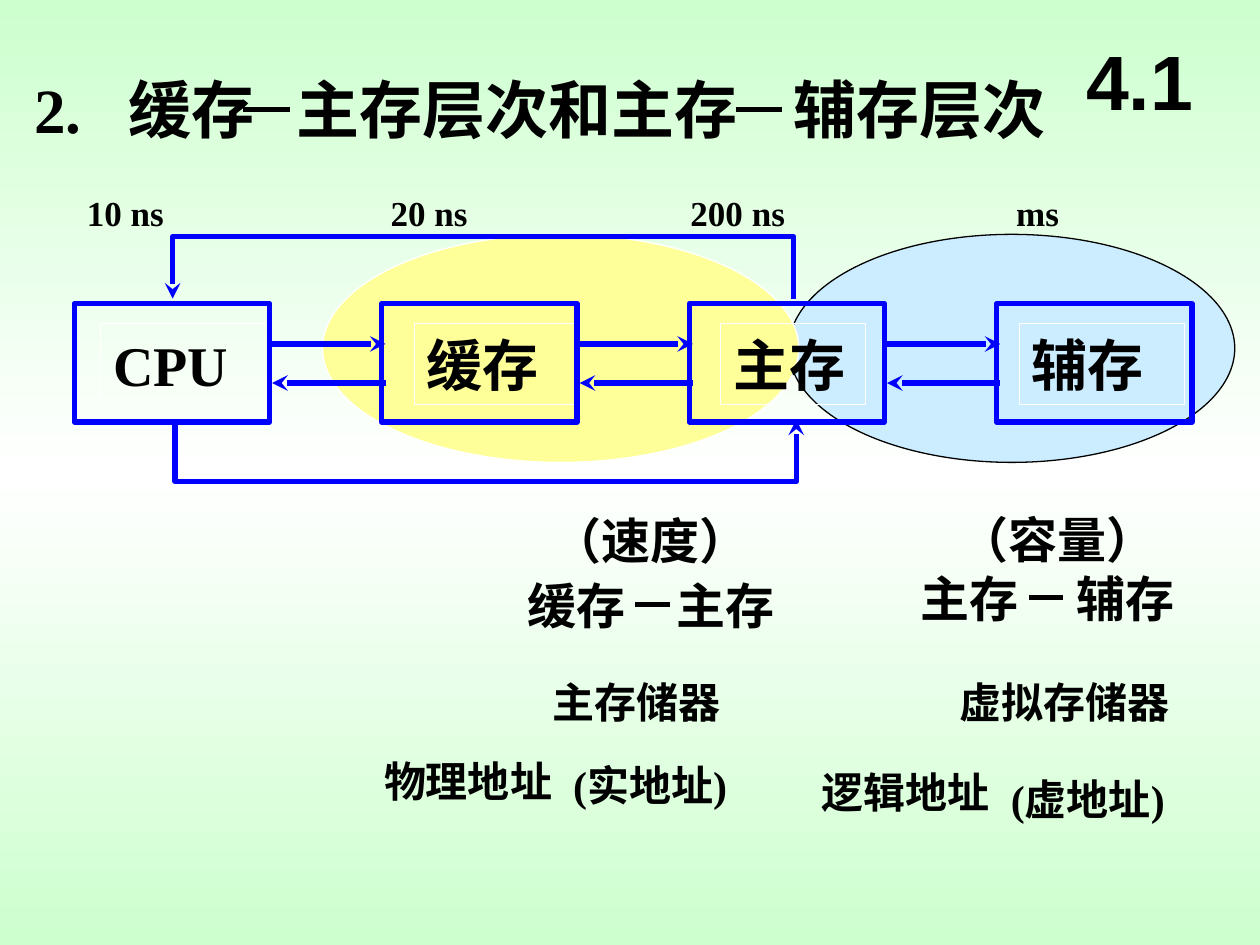
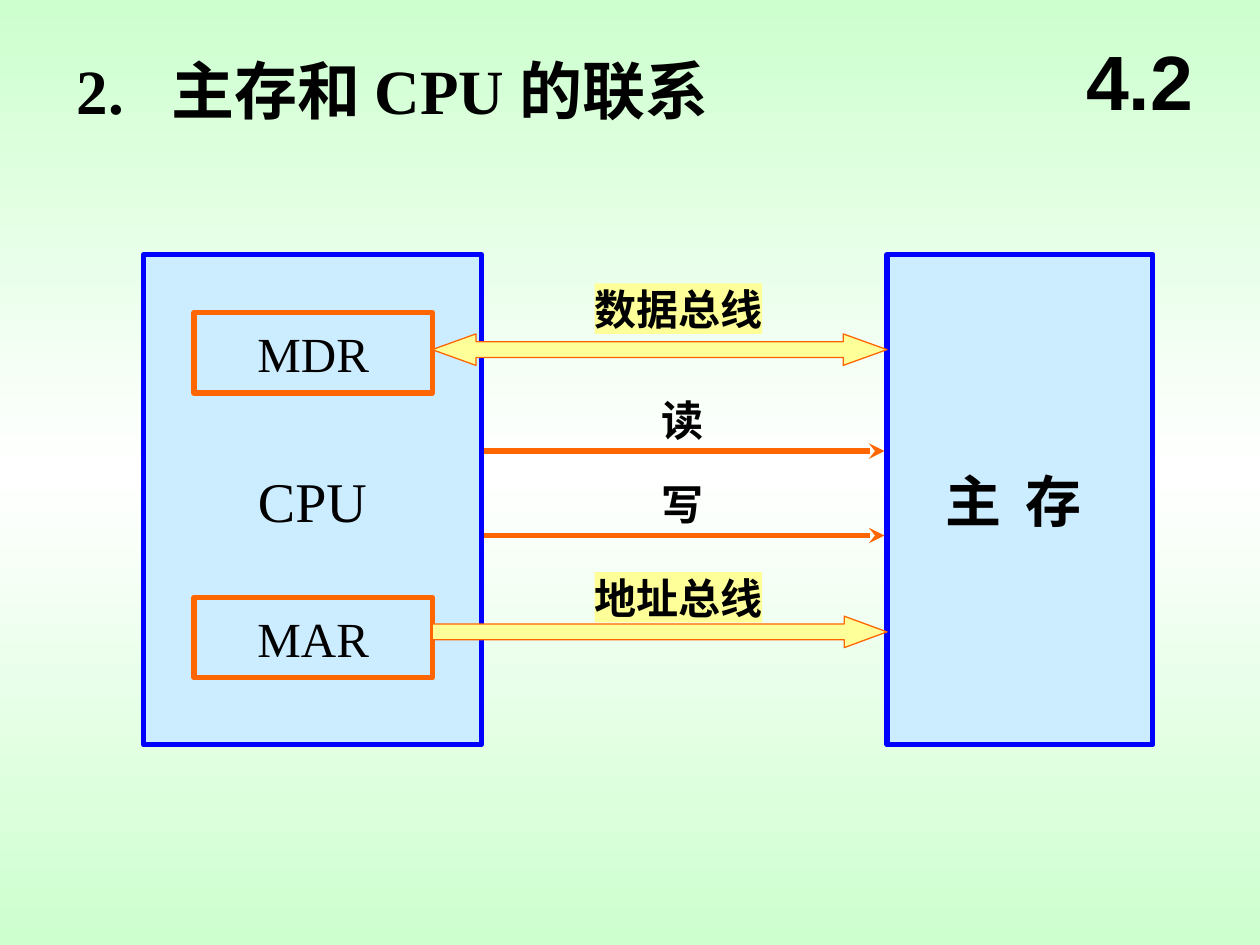
from copy import deepcopy
from dataclasses import dataclass

from lxml import etree
from pptx import Presentation
from pptx.dml.color import RGBColor
from pptx.enum.shapes import MSO_CONNECTOR, MSO_SHAPE
from pptx.enum.text import MSO_ANCHOR, MSO_AUTO_SIZE, PP_ALIGN
from pptx.oxml.ns import qn
from pptx.util import Inches, Pt

LEFT, CENTER = PP_ALIGN.LEFT, PP_ALIGN.CENTER
TOP, MIDDLE = MSO_ANCHOR.TOP, MSO_ANCHOR.MIDDLE
NO_AUTOFIT = MSO_AUTO_SIZE.NONE
STRAIGHT = MSO_CONNECTOR.STRAIGHT
RECTANGLE, OVAL = MSO_SHAPE.RECTANGLE, MSO_SHAPE.OVAL
RIGHT_ARROW, TWO_WAY_ARROW = MSO_SHAPE.RIGHT_ARROW, MSO_SHAPE.LEFT_RIGHT_ARROW
TITLE_ONLY = 5


@dataclass(frozen=True)
class Theme:
    serif: str = "Times New Roman"
    chinese: str = "Noto Sans CJK SC"
    sans: str = "Arial"
    black: str = "000000"
    white: str = "FFFFFF"
    green: str = "CDFFCE"
    blue: str = "0000FF"
    sky: str = "CCECFF"
    yellow: str = "FFFF99"
    orange: str = "FF6600"
    section: int = 44
    title: int = 36
    block: int = 32
    heading: int = 28
    body: int = 24
    small: int = 20
    thick: float = 3
    thin: float = 0.75


THEME = Theme()


# Shared helpers: all lengths are inches
def box(left, top, width, height):
    return [Inches(value) for value in (left, top, width, height)]


def write(shape, text, size, bold=True, font=THEME.serif, align=CENTER,
          anchor=MIDDLE, wrap=True, tabs=(), margins=(0.1, 0.05)):
    frame = shape.text_frame
    frame.text = text
    frame.word_wrap = wrap
    frame.auto_size = NO_AUTOFIT
    frame.vertical_anchor = anchor
    frame.margin_left = frame.margin_right = Inches(margins[0])
    frame.margin_top = frame.margin_bottom = Inches(margins[1])
    paragraph = frame.paragraphs[0]
    paragraph.alignment = align
    properties = paragraph._p.get_or_add_pPr()
    if tabs:
        tab_list = etree.SubElement(properties, qn("a:tabLst"))
        for position in tabs:
            etree.SubElement(tab_list, qn("a:tab"), pos=str(Inches(position)), algn="l")
    paragraph.font.size = Pt(size)
    paragraph.font.bold = bold
    paragraph.font.color.rgb = RGBColor.from_string(THEME.black)
    paragraph.font.name = font
    east_asian = properties.find(qn("a:defRPr"))
    etree.SubElement(east_asian, qn("a:ea"), typeface=THEME.chinese)


def add_text(slide, text, left, top, width, height, size, **style):
    shape = slide.shapes.add_textbox(*box(left, top, width, height))
    write(shape, text, size, wrap=False, **style)
    return shape


def set_fill(shape, color):
    if color:
        shape.fill.solid()
        shape.fill.fore_color.rgb = RGBColor.from_string(color)
    else:
        shape.fill.background()


def set_line(shape, color, width, arrow=False):
    shape.line.color.rgb = RGBColor.from_string(color)
    shape.line.width = Pt(width)
    if arrow:
        etree.SubElement(shape.line._get_or_add_ln(), qn("a:tailEnd"), type="stealth")


def add_block(slide, kind, left, top, width, height, fill, line, line_width=THEME.thick):
    shape = slide.shapes.add_shape(kind, *box(left, top, width, height))
    shape.shadow.inherit = False
    set_fill(shape, fill)
    set_line(shape, line, line_width)
    return shape


def add_line(slide, start_x, end_x, y, color, arrow=False):
    connector = slide.shapes.add_connector(STRAIGHT, *box(start_x, y, end_x, y))
    set_line(connector, color, THEME.thick, arrow)
    etree.SubElement(connector._element.spPr, qn("a:effectLst"))


def add_path(slide, points, color):
    points = [(Inches(x), Inches(y)) for x, y in points]
    builder = slide.shapes.build_freeform(*points[0])
    builder.add_line_segments(points[1:], close=False)
    shape = builder.convert_to_shape()
    shape.shadow.inherit = False
    set_fill(shape, None)
    set_line(shape, color, THEME.thick, arrow=True)


def set_background(master):
    fill = master.background.fill
    fill.gradient()
    fill.gradient_angle = 90
    stop_list = master._element.find(".//" + qn("a:gsLst"))
    stop_list.append(deepcopy(stop_list[0]))
    colors = (THEME.green, THEME.white, THEME.green)
    for index, (stop, color) in enumerate(zip(fill.gradient_stops, colors)):
        stop.position = index / 2
        stop.color.rgb = RGBColor.from_string(color)


def start_slide(presentation, title, section, left, top, width, tabs):
    slide = presentation.slides.add_slide(presentation.slide_layouts[TITLE_ONLY])
    heading = slide.shapes.title
    heading.left, heading.top, heading.width, heading.height = box(left, top, width, 0.7)
    write(heading, title, THEME.title, align=LEFT, anchor=TOP, tabs=tabs)
    add_text(slide, section, 8.42, 0.17, 1.25, 0.92, THEME.section, font=THEME.sans)
    return slide


# Storage hierarchy: four levels with access times
def draw_hierarchy(slide, left, top):
    pitch, width, height = 2.44, 1.55, 0.94
    # name, label offset, label width, access time, time offset
    levels = [
        ("CPU", 0.21, 1.34, "10 ns", -0.07),
        ("缓存", 0.26, 1.31, "20 ns", -0.10),
        ("主存", 0.25, 1.15, "200 ns", -0.09),
        ("辅存", 0.18, 1.31, "ms", -0.15),
    ]
    add_block(slide, OVAL, left + 5.67, top - 0.55, 3.54, 1.81,
              THEME.sky, THEME.black, THEME.thin)
    add_block(slide, OVAL, left + 1.97, top - 0.55, 3.78, 1.81,
              THEME.yellow, THEME.white, THEME.thin)
    for index, (name, offset, label_width, time, time_offset) in enumerate(levels):
        x = left + index * pitch
        label = add_block(slide, RECTANGLE, x + offset, top + 0.16, label_width, 0.64,
                          None, THEME.white, THEME.thin)
        write(label, name, THEME.block, align=LEFT)
        add_block(slide, RECTANGLE, x, top, width, height, None, THEME.blue)
        add_text(slide, time, x + time_offset, top - 0.94, 0.95, 0.44, THEME.small)

    # Direct paths between the CPU and main memory
    low, high = top + 0.92, top + 1.41
    add_path(slide, [(left + 0.8, low), (left + 0.8, high),
                     (left + 5.73, high), (left + 5.73, low)], THEME.blue)
    low, high = top - 0.04, top - 0.53
    add_path(slide, [(left + 5.71, low), (left + 5.71, high),
                     (left + 0.78, high), (left + 0.78, low)], THEME.blue)

    # Exchange between neighbouring levels
    for index in range(len(levels) - 1):
        start = left + index * pitch + width + 0.02
        end = start + 0.9
        add_line(slide, start, end, top + 0.32, THEME.blue, arrow=True)
        add_line(slide, end, start, top + 0.63, THEME.blue, arrow=True)


# Notes on one pair of levels: texts as (text, x, y, width, size)
def draw_notes(slide, left, top, texts, dash):
    for text, x, y, width, size in texts:
        height = 0.57 if size == THEME.heading else 0.5
        add_text(slide, text, left + x, top + y, width, height, size)
    start, end, y = dash
    add_line(slide, left + start, left + end, top + y, THEME.black)


def build_hierarchy_slide(presentation):
    left, top = 0.17, 0.51
    slide = start_slide(presentation, "2.\t缓存\t主存层次和主存\t辅存层次", "4.1",
                        left, top, 8.4, (0.75, 2.08, 6.03))
    for dash in (1.76, 5.67):
        add_line(slide, left + dash, left + dash + 0.37, top + 0.36, THEME.black)
    draw_hierarchy(slide, 0.59, 2.41)
    draw_notes(slide, 2.95, 4, [
        ("（速度）", 1.34, 0, 1.75, THEME.heading),
        ("缓存", 1.14, 0.52, 0.97, THEME.heading),
        ("主存", 2.32, 0.52, 0.97, THEME.heading),
        ("主存储器", 1.34, 1.32, 1.53, THEME.body),
        ("物理地址", 0, 1.95, 1.53, THEME.body),
        ("(实地址)", 1.42, 1.98, 1.58, THEME.body),
    ], (2.09, 2.37, 0.8))
    draw_notes(slide, 6.42, 3.99, [
        ("（容量）", 1.1, 0, 1.75, THEME.heading),
        ("主存", 0.79, 0.47, 0.97, THEME.heading),
        ("辅存", 2.03, 0.47, 0.97, THEME.heading),
        ("虚拟存储器", 1.1, 1.33, 1.86, THEME.body),
        ("逻辑地址", 0, 2.04, 1.53, THEME.body),
        ("(虚地址)", 1.4, 2.1, 1.63, THEME.body),
    ], (1.75, 2.02, 0.75))


# CPU with its two memory registers
def draw_processor(slide, left, top, height):
    processor = add_block(slide, RECTANGLE, left, top, 2.68, height, THEME.sky, THEME.blue)
    write(processor, "CPU", THEME.block, bold=False)
    for name, y in (("MDR", 0.46), ("MAR", 2.72)):
        register = add_block(slide, RECTANGLE, left + 0.4, top + y, 1.89, 0.64,
                             THEME.sky, THEME.orange)
        write(register, name, THEME.heading, bold=False)


def draw_memory(slide, left, top, height):
    memory = add_block(slide, RECTANGLE, left, top, 2.11, height, THEME.sky, THEME.blue)
    write(memory, "主\t存", THEME.block, align=LEFT, tabs=(0.64,), margins=(0.46, 0.05))


# Buses and control lines between CPU and memory
def draw_links(slide, left, top):
    buses = [
        ("数据总线", 0.23, TWO_WAY_ARROW, 0.63, 1.39),
        ("地址总线", 2.52, RIGHT_ARROW, 2.87, 1.36),
    ]
    for name, label_y, kind, arrow_y, head_length in buses:
        label = add_text(slide, name, left + 1.29, top + label_y, 1.33, 0.4, THEME.body,
                         font=THEME.chinese, margins=(0, 0))
        set_fill(label, THEME.yellow)
        arrow = add_block(slide, kind, left, top + arrow_y, 3.61, 0.25,
                          THEME.yellow, THEME.orange, THEME.thin)
        arrow.adjustments[0] = 0.5
        arrow.adjustments[1] = head_length
    for name, y in (("读", 1.56), ("写", 2.23)):
        add_text(slide, name, left + 1.82, top + y - 0.45, 0.33, 0.4, THEME.body,
                 font=THEME.chinese, margins=(0, 0))
        add_line(slide, left + 0.41, left + 3.59, top + y, THEME.orange, arrow=True)


def build_connection_slide(presentation):
    slide = start_slide(presentation, "2.\t主存和 CPU 的联系", "4.2",
                        0.51, 0.36, 6.46, (0.75,))
    top, height = 2.02, 3.89
    draw_processor(slide, 1.14, top, height)
    draw_memory(slide, 7.04, top, height)
    draw_links(slide, 3.43, top)


def main():
    presentation = Presentation()
    presentation.slide_width, presentation.slide_height = Inches(10), Inches(7.5)
    set_background(presentation.slide_master)
    build_hierarchy_slide(presentation)
    build_connection_slide(presentation)
    presentation.save("out.pptx")


if __name__ == "__main__":
    main()
